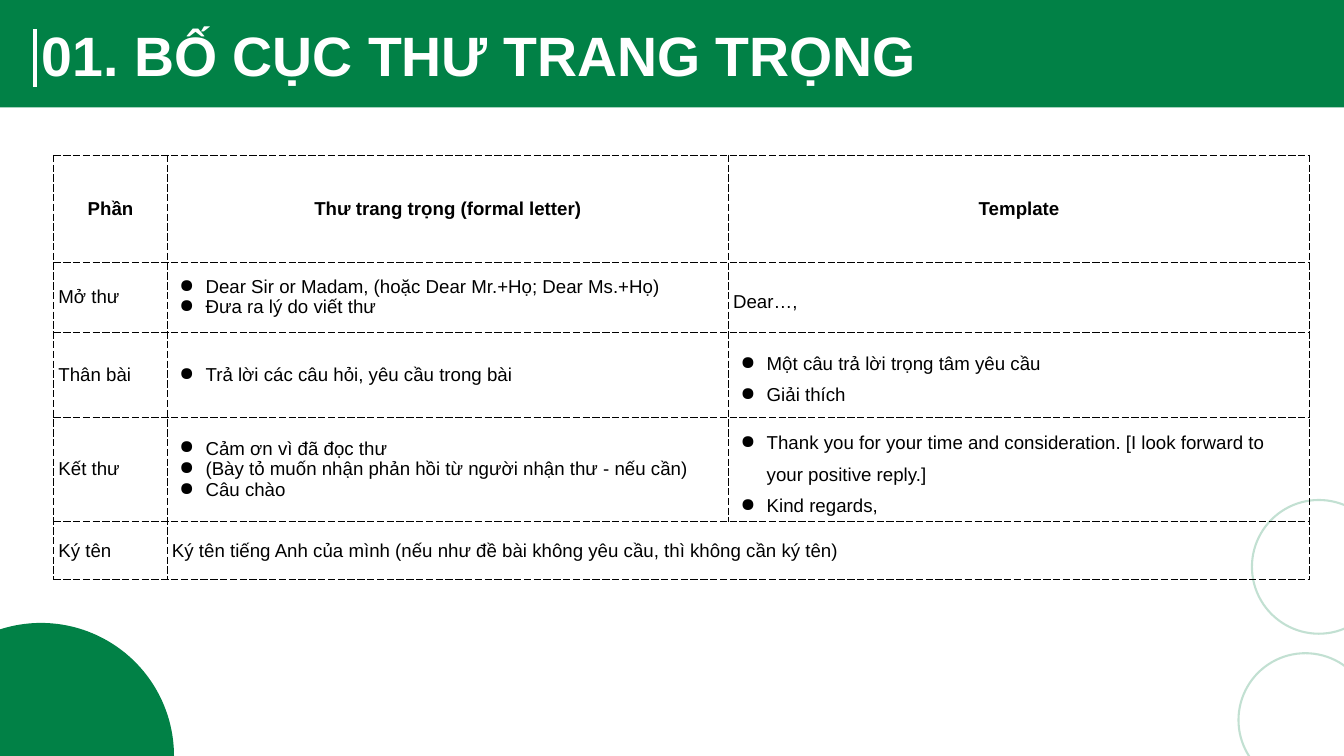
from lxml import etree
from pptx import Presentation
from pptx.dml.color import RGBColor
from pptx.enum.shapes import MSO_CONNECTOR, MSO_SHAPE
from pptx.enum.text import MSO_ANCHOR, MSO_AUTO_SIZE, PP_ALIGN
from pptx.oxml import parse_xml
from pptx.oxml.ns import nsdecls, qn
from pptx.util import Pt

THEME = {
    "font": "Arial",
    "green": RGBColor.from_string("018146"),
    "white": RGBColor.from_string("FFFFFF"),
    "black": RGBColor.from_string("000000"),
    "title_size": 59.4,
    "body_size": 20,
}


def write_text(text_frame, text, size, color, bold=False, align=PP_ALIGN.LEFT,
               spacing=1.0, bullets=False):
    """Write one paragraph for each line of text."""
    for index, line in enumerate(text.split("\n")):
        paragraph = text_frame.paragraphs[0] if index == 0 else text_frame.add_paragraph()
        paragraph.text = line
        if bullets:
            properties = paragraph._p.get_or_add_pPr()
            properties.set("marL", str(Pt(36)))
            properties.set("indent", str(Pt(-28)))
            bullet_color = etree.SubElement(properties, qn("a:buClr"))
            etree.SubElement(bullet_color, qn("a:srgbClr"), val=str(color))
            etree.SubElement(properties, qn("a:buChar"), char="●")
        paragraph.alignment = align
        paragraph.line_spacing = spacing
        paragraph.space_before = Pt(0)
        font = paragraph.font
        font.name, font.size, font.bold = THEME["font"], Pt(size), bold
        font.color.rgb = color


presentation = Presentation()
presentation.slide_width, presentation.slide_height = Pt(1440), Pt(810)
slide = presentation.slides.add_slide(presentation.slide_layouts[5])
shapes = slide.shapes

# Faint rings at the lower right
for left, top in [(1341.36, 535.68), (1326.96, 699.84)]:
    ring = shapes.add_shape(MSO_SHAPE.OVAL, Pt(left), Pt(top), Pt(143.28), Pt(143.28))
    ring.shadow.inherit = False
    ring.fill.background()
    ring.line.color.rgb = THEME["green"]
    ring.line.width = Pt(2.25)
    ring_color = ring.line._ln.find(".//" + qn("a:srgbClr"))
    etree.SubElement(ring_color, qn("a:alpha"), val="24000")

# Green header band and corner disc
for kind, left, top, width, height in [
    (MSO_SHAPE.RECTANGLE, 0, 0, 1440, 115.2),
    (MSO_SHAPE.OVAL, -98.64, 667.44, 285.12, 285.12),
]:
    shape = shapes.add_shape(kind, Pt(left), Pt(top), Pt(width), Pt(height))
    shape.shadow.inherit = False
    shape.fill.solid()
    shape.fill.fore_color.rgb = THEME["green"]
    shape.line.fill.background()

# White rule beside the title
rule = shapes.add_connector(MSO_CONNECTOR.STRAIGHT, Pt(37.44), Pt(30.96), Pt(37.44), Pt(93.6))
rule.line.color.rgb = THEME["white"]
rule.line.width = Pt(4.5)
etree.SubElement(rule._element.spPr, qn("a:effectLst"))

# Title, brought in front of the band
title = shapes.title
shapes._spTree.append(title._element)
title.left, title.top, title.width, title.height = Pt(37.44), Pt(30.96), Pt(1365.12), Pt(62.64)
title_frame = title.text_frame
title_frame.word_wrap = True
title_frame.auto_size = MSO_AUTO_SIZE.NONE
title_frame.vertical_anchor = MSO_ANCHOR.MIDDLE
title_frame.margin_left = title_frame.margin_right = Pt(7.2)
title_frame.margin_top = title_frame.margin_bottom = Pt(3.6)
write_text(title_frame, "01. BỐ CỤC THƯ TRANG TRỌNG", size=THEME["title_size"],
           color=THEME["white"], bold=True, spacing=0.9)

# Table content: each cell is a text and its format
HEADER = {"bold": True, "align": PP_ALIGN.CENTER}
PLAIN = {}
LOOSE = {"spacing": 1.5}
LIST = {"bullets": True}
LOOSE_LIST = {**LOOSE, **LIST}
rows = [
    [("Phần", HEADER), ("Thư trang trọng (formal letter)", HEADER), ("Template", HEADER)],
    [("Mở thư", PLAIN),
     ("Dear Sir or Madam, (hoặc Dear Mr.+Họ; Dear Ms.+Họ)\nĐưa ra lý do viết thư", LIST),
     ("Dear…,", LOOSE)],
    [("Thân bài", PLAIN),
     ("Trả lời các câu hỏi, yêu cầu trong bài", LIST),
     ("Một câu trả lời trọng tâm yêu cầu\nGiải thích", LOOSE_LIST)],
    [("Kết thư", PLAIN),
     ("Cảm ơn vì đã đọc thư\n(Bày tỏ muốn nhận phản hồi từ người nhận thư - nếu cần)\nCâu chào", LIST),
     ("Thank you for your time and consideration. [I look forward to your positive reply.]\n"
      "Kind regards,", LOOSE_LIST)],
    [("Ký tên", PLAIN),
     ("Ký tên tiếng Anh của mình (nếu như đề bài không yêu cầu, thì không cần ký tên)", PLAIN)],
]
column_widths = [121.68, 601.2, 622.8]
row_heights = [114.48, 74.88, 91.44, 111.6, 62.64]

# Table grid
table = shapes.add_table(len(rows), len(column_widths), Pt(57.6), Pt(166.32),
                         Pt(sum(column_widths)), Pt(sum(row_heights))).table
table.first_row = table.horz_banding = False
for column, width in zip(table.columns, column_widths):
    column.width = Pt(width)
for row, height in zip(table.rows, row_heights):
    row.height = Pt(height)
table.cell(4, 1).merge(table.cell(4, 2))

# Clear fill and dashed borders on every cell
for cell in table.iter_cells():
    cell.fill.background()
    cell.vertical_anchor = MSO_ANCHOR.MIDDLE
    cell.margin_left = cell.margin_right = cell.margin_top = cell.margin_bottom = Pt(5)
    for position, side in enumerate(["lnL", "lnR", "lnT", "lnB"]):
        border = parse_xml(
            f'<a:{side} {nsdecls("a")} w="{Pt(1)}"><a:solidFill>'
            f'<a:srgbClr val="{THEME["black"]}"/></a:solidFill>'
            f'<a:prstDash val="dash"/></a:{side}>')
        cell._tc.get_or_add_tcPr().insert(position, border)

# Cell text
for row_index, row in enumerate(rows):
    for column_index, (text, text_format) in enumerate(row):
        write_text(table.cell(row_index, column_index).text_frame, text,
                   size=THEME["body_size"], color=THEME["black"], **text_format)

presentation.save("out.pptx")
